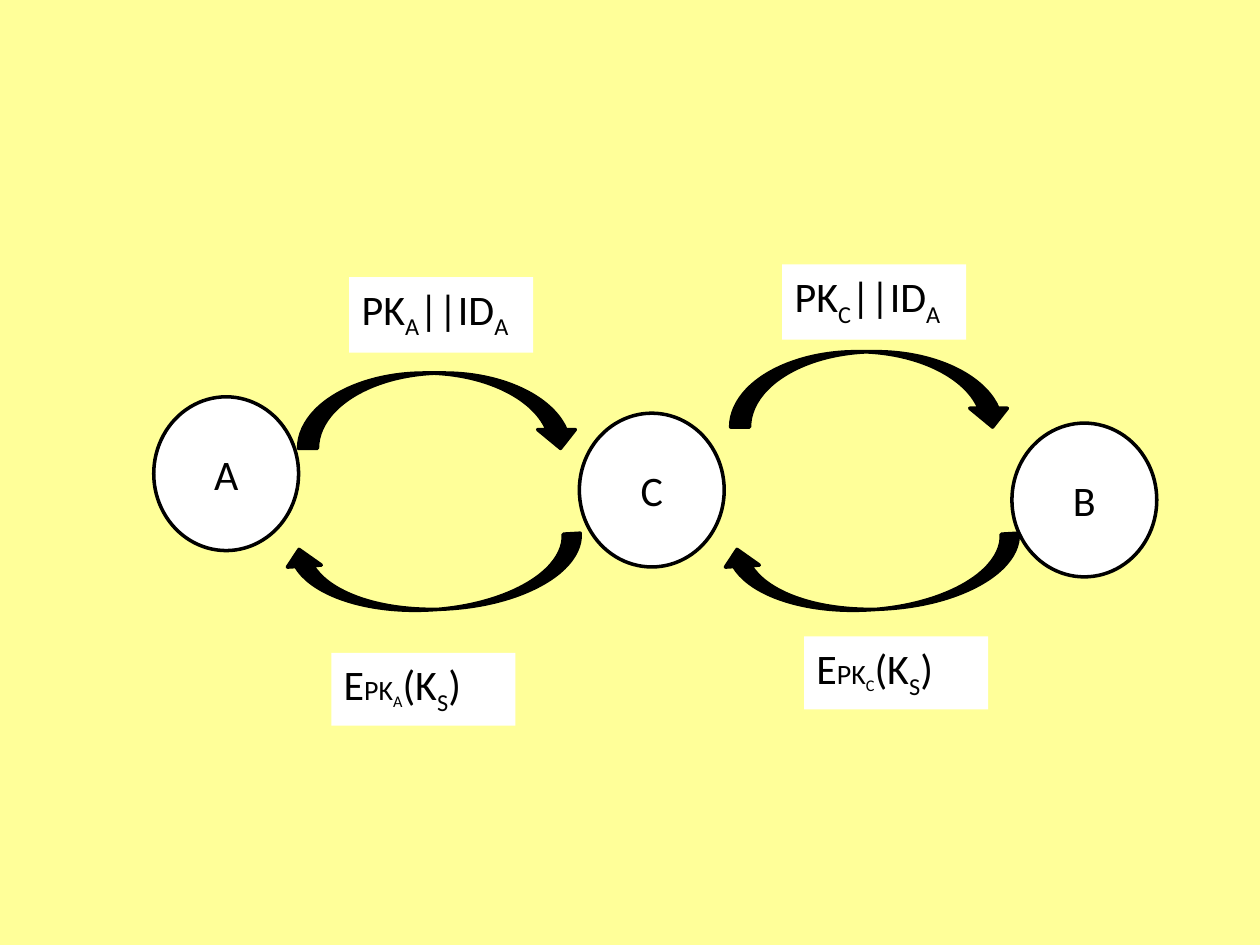
"""Build a slide showing a key exchange between A and B with C in the middle."""
from pptx import Presentation
from pptx.dml.color import RGBColor
from pptx.enum.shapes import MSO_SHAPE as Shape
from pptx.enum.text import MSO_ANCHOR as Anchor, PP_ALIGN as Align
from pptx.util import Cm, Pt


def color(hex_code):
    return RGBColor.from_string(hex_code)


class ExchangeSlide:
    FONT = "Calibri"
    SIZE = 24
    SMALL = 16
    INK = "000000"
    PAPER = "FFFFFF"
    BACKDROP = "FFFF99"

    def __init__(self, deck):
        self.slide = deck.slides.add_slide(deck.slide_layouts[6])
        backdrop = self.slide.background.fill
        backdrop.solid()
        backdrop.fore_color.rgb = color(self.BACKDROP)
        self.diagram = self.slide.shapes.add_group_shape()

    def outline(self, kind, left, top, width, height, fill, line=True):
        shape = self.diagram.shapes.add_shape(
            kind, Cm(left), Cm(top), Cm(width), Cm(height))
        shape.shadow.inherit = False
        shape.fill.solid()
        shape.fill.fore_color.rgb = color(fill)
        if line:
            shape.line.color.rgb = color(self.INK)
            shape.line.width = Pt(2)
        else:
            shape.line.fill.background()
        return shape

    def add_text(self, shape, pieces, align, anchor):
        shape.text_frame.word_wrap = True
        shape.text_frame.vertical_anchor = anchor
        paragraph = shape.text_frame.paragraphs[0]
        paragraph.alignment = align
        for text, size, lowered in pieces:
            run = paragraph.add_run()
            run.text = text
            run.font.name = self.FONT
            run.font.size = Pt(size)
            run.font.color.rgb = color(self.INK)
            if lowered:
                run._r.get_or_add_rPr().set("baseline", "-25000")

    def party(self, name, left, top):
        circle = self.outline(Shape.OVAL, left, top, 2.92, 3.1, self.PAPER)
        self.add_text(circle, [(name, self.SIZE, False)], Align.CENTER, Anchor.MIDDLE)

    def arrow(self, left, top, width, height, rotation=0):
        arc = self.outline(Shape.CURVED_DOWN_ARROW, left, top, width, height, self.INK)
        arc.rotation = rotation

    def message(self, left, top, height, pieces):
        label = self.outline(Shape.RECTANGLE, left, top, 3.71, height, self.PAPER, line=False)
        self.add_text(label, pieces, Align.JUSTIFY, Anchor.TOP)

    def request(self, key_owner, left, top):
        big = self.SIZE
        self.message(left, top, 1.52, [
            ("PK", big, False), (key_owner, big, True),
            ("||ID", big, False), ("A", big, True)])

    def reply(self, key_owner, left, top):
        big, small = self.SIZE, self.SMALL
        self.message(left, top, 1.47, [
            ("E", big, False), ("PK", small, False), (key_owner, small, True),
            ("(K", big, False), ("S", big, True), (")", big, False)])


def main():
    deck = Presentation()
    deck.slide_width, deck.slide_height = Cm(25.4), Cm(19.05)
    exchange = ExchangeSlide(deck)
    for name, left, top in (("A", 3.1, 8), ("C", 11.68, 8.33), ("B", 20.4, 8.53)):
        exchange.party(name, left, top)
    for left, top in ((6.02, 7.52), (14.73, 7.09)):
        exchange.arrow(left, top, 5.66, 1.52)
    for left in (5.72, 14.55):
        exchange.arrow(left, 10.92, 6.02, 1.37, rotation=176.7)
    exchange.request("A", 7.04, 5.59)
    exchange.request("C", 15.77, 5.33)
    exchange.reply("A", 6.68, 13.16)
    exchange.reply("C", 16.21, 12.83)
    deck.save("out.pptx")


if __name__ == "__main__":
    main()
